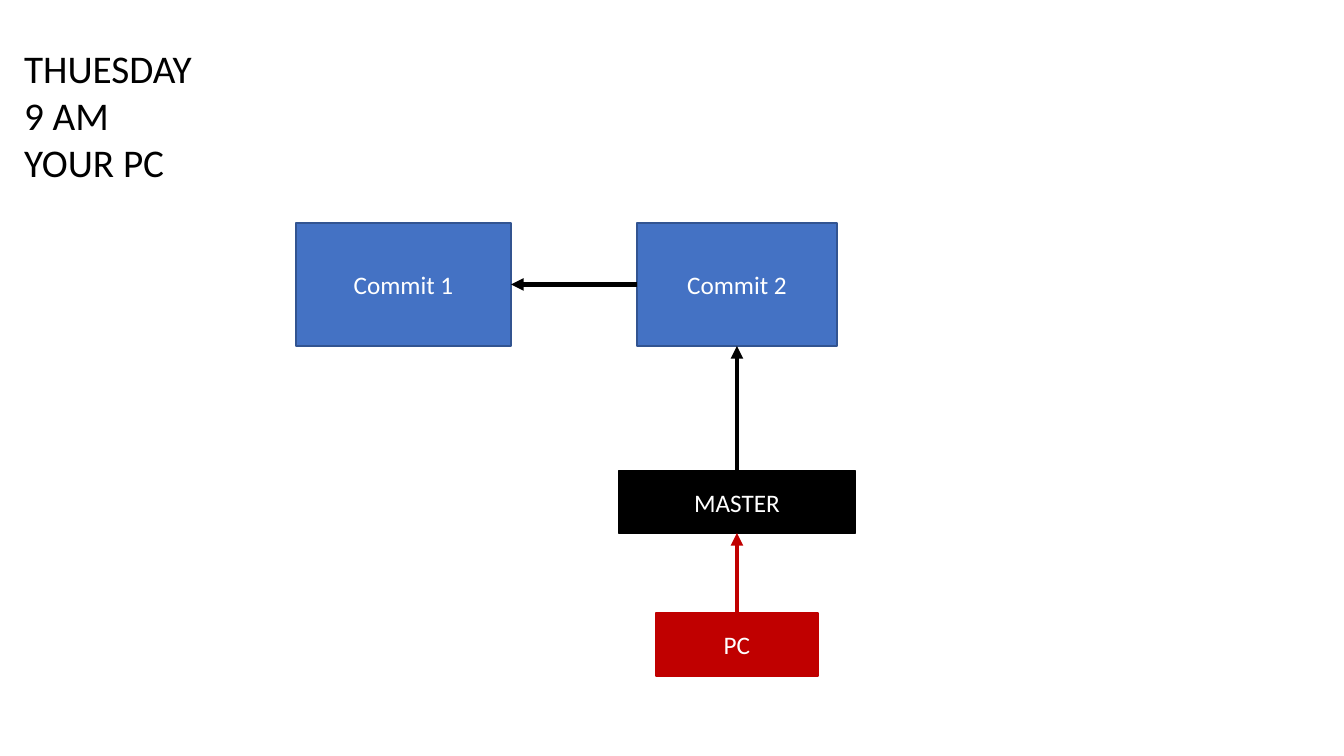
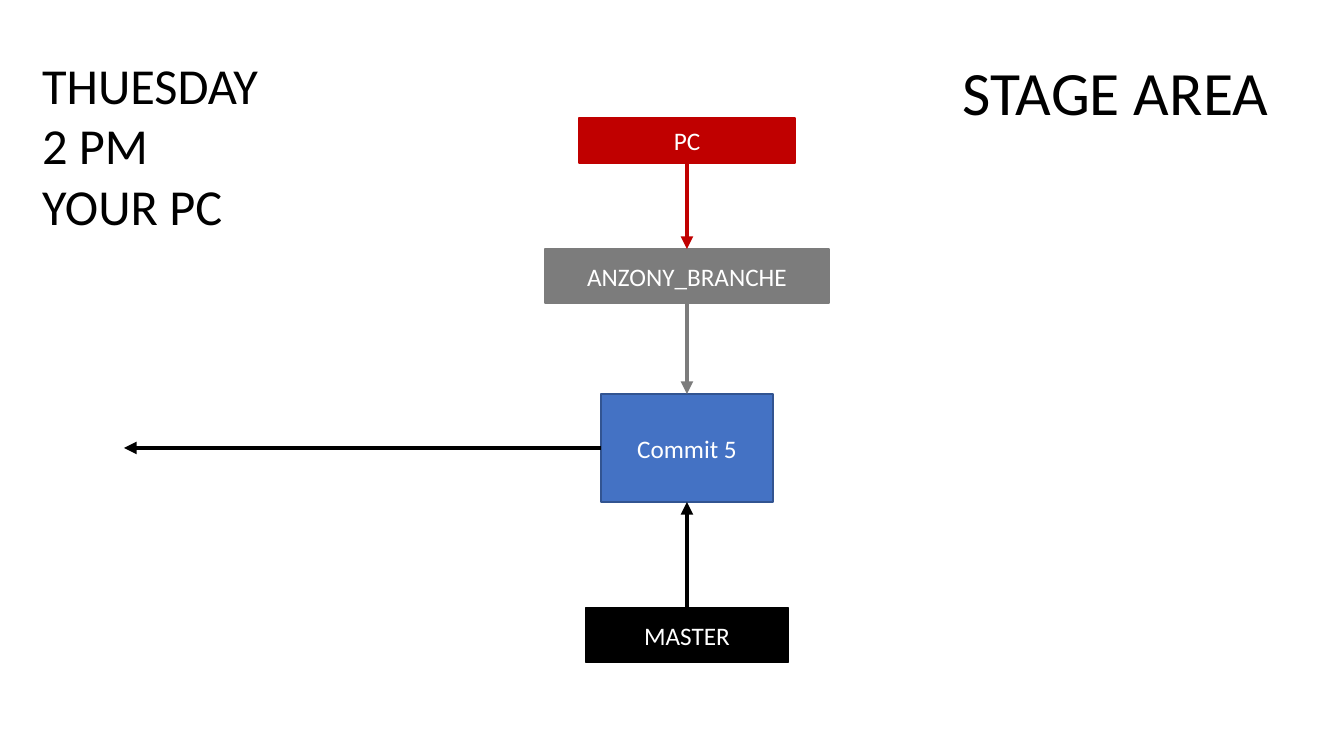
from pptx import Presentation
from pptx.dml.color import RGBColor
from pptx.enum.shapes import MSO_CONNECTOR, MSO_SHAPE
from pptx.enum.text import MSO_ANCHOR, MSO_AUTO_SIZE, PP_ALIGN
from pptx.oxml.ns import qn
from pptx.util import Emu, Pt
from lxml.etree import SubElement

BLACK = RGBColor(0x00, 0x00, 0x00)
WHITE = RGBColor(0xFF, 0xFF, 0xFF)
BLUE = RGBColor(0x44, 0x72, 0xC4)
NAVY = RGBColor(0x32, 0x54, 0x91)
RED = RGBColor(0xC0, 0x00, 0x00)
GRAY = RGBColor(0x7C, 0x7C, 0x7C)

FONT = "Calibri"
TOP, LEFT, BOTTOM, RIGHT = range(4)  # connection sites of a rectangle
TITLE_FRAME = {"word_wrap": True, "vertical_anchor": MSO_ANCHOR.TOP,
               "auto_size": MSO_AUTO_SIZE.SHAPE_TO_FIT_TEXT}
BOX_FRAME = {"word_wrap": True, "vertical_anchor": MSO_ANCHOR.MIDDLE}


def px(n):
    """Convert pixels to EMU."""
    return Emu(round(n * 914400 / 100.8))


def set_all(obj, values):
    """Set each attribute named in the dict."""
    for name, value in values.items():
        setattr(obj, name, value)


def place(sp, box):
    """Move a shape to a pixel box: left, top, width, height."""
    set_all(sp, dict(zip(("left", "top", "width", "height"), map(px, box))))


def write(sp, lines, size, color, align, frame):
    """Fill a shape with one paragraph per line."""
    tf = sp.text_frame
    set_all(tf, frame)
    tf.text = "\n".join(lines)
    for p in tf.paragraphs:
        p.alignment = align
        set_all(p.runs[0].font, {"name": FONT, "size": Pt(size)})
        p.runs[0].font.color.rgb = color


def add_titled_slide(prs, lines, size, box):
    """Add a slide whose title stands at the upper left."""
    slide = prs.slides.add_slide(prs.slide_layouts[5])
    place(slide.shapes.title, box)
    write(slide.shapes.title, lines, size, BLACK, PP_ALIGN.LEFT, TITLE_FRAME)
    return slide


def add_node(slide, text, center, top, width, height, fill, line=None):
    """Add a labelled rectangle centred on a vertical axis."""
    sp = slide.shapes.add_shape(MSO_SHAPE.RECTANGLE, 0, 0, 0, 0)
    place(sp, (center - width / 2, top, width, height))
    sp.shadow.inherit = False
    sp.fill.solid()
    sp.fill.fore_color.rgb = fill
    sp.line.color.rgb = line or fill
    sp.line.width = Pt(1)
    write(sp, [text], 18, WHITE, PP_ALIGN.CENTER, BOX_FRAME)
    return sp


def add_arrow(slide, start, start_site, color, end=None, end_site=None, point=(0, 0)):
    """Add an arrow from a node to another node or to a free point."""
    cxn = slide.shapes.add_connector(MSO_CONNECTOR.STRAIGHT, 0, 0, *map(px, point))
    cxn.begin_connect(start, start_site)
    if end is not None:
        cxn.end_connect(end, end_site)
    cxn.line.color.rgb = color
    cxn.line.width = Pt(3)
    sp_pr = cxn._element.spPr
    SubElement(sp_pr.find(qn("a:ln")), qn("a:tailEnd"), type="triangle")
    SubElement(sp_pr, qn("a:effectLst"))


def morning_slide(prs):
    """Two commits, with MASTER and PC pointing up at the second."""
    slide = add_titled_slide(prs, ["THUESDAY ", "9 AM", "YOUR PC"], 28,
                             (14, 39, 440, 152))
    axis, row, height = 737, 223, 123
    first = add_node(slide, "Commit 1", 403.5, row, 215, height, BLUE, NAVY)
    second = add_node(slide, "Commit 2", axis, row, 200, height, BLUE, NAVY)
    master = add_node(slide, "MASTER", axis, 471, 237, 62, BLACK)
    pc = add_node(slide, "PC", axis, 613, 162, 63, RED)
    add_arrow(slide, second, LEFT, BLACK, first, RIGHT)
    add_arrow(slide, master, TOP, BLACK, second, BOTTOM)
    add_arrow(slide, pc, TOP, RED, master, BOTTOM)


def afternoon_slide(prs):
    """PC and branch pointing down at a commit, MASTER pointing up at it."""
    slide = add_titled_slide(prs, ["THUESDAY", "2 PM", "YOUR PC"], 36,
                             (32, 49, 312, 194))
    stage = slide.shapes.add_textbox(*map(px, (953, 49, 359, 85)))
    write(stage, ["STAGE AREA"], 44, BLACK, PP_ALIGN.LEFT, TITLE_FRAME)
    axis = 687
    pc = add_node(slide, "PC", axis, 118, 216, 45, RED)
    branch = add_node(slide, "ANZONY_BRANCHE", axis, 249, 284, 54, GRAY)
    commit = add_node(slide, "Commit 5", axis, 394, 172, 108, BLUE, NAVY)
    master = add_node(slide, "MASTER", axis, 608, 203, 54, BLACK)
    add_arrow(slide, pc, BOTTOM, RED, branch, TOP)
    add_arrow(slide, branch, BOTTOM, GRAY, commit, TOP)
    add_arrow(slide, master, TOP, BLACK, commit, BOTTOM)
    add_arrow(slide, commit, LEFT, BLACK, point=(124, 448))


prs = Presentation()
set_all(prs, {"slide_width": px(1344), "slide_height": px(756)})
morning_slide(prs)
afternoon_slide(prs)
prs.save("out.pptx")
